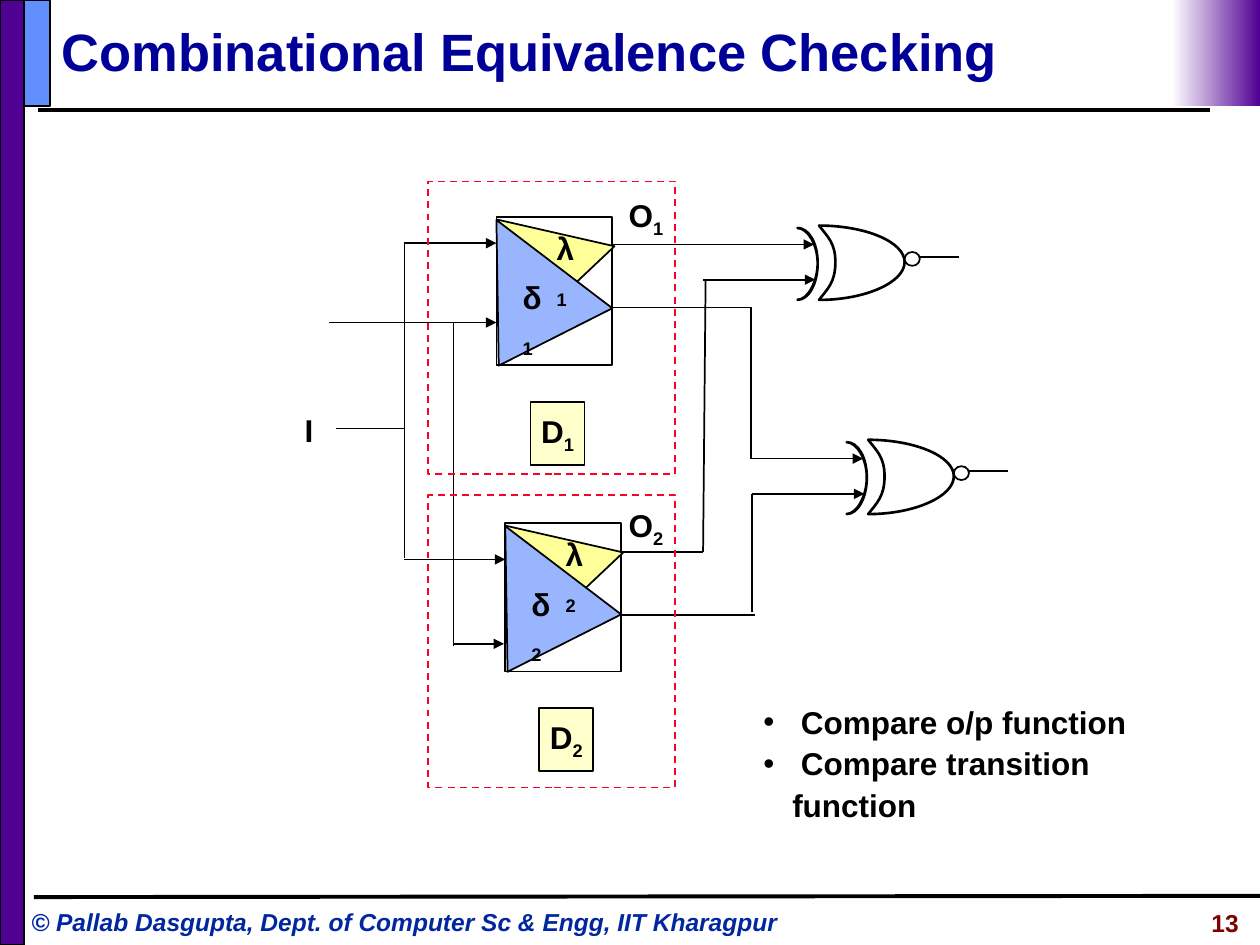
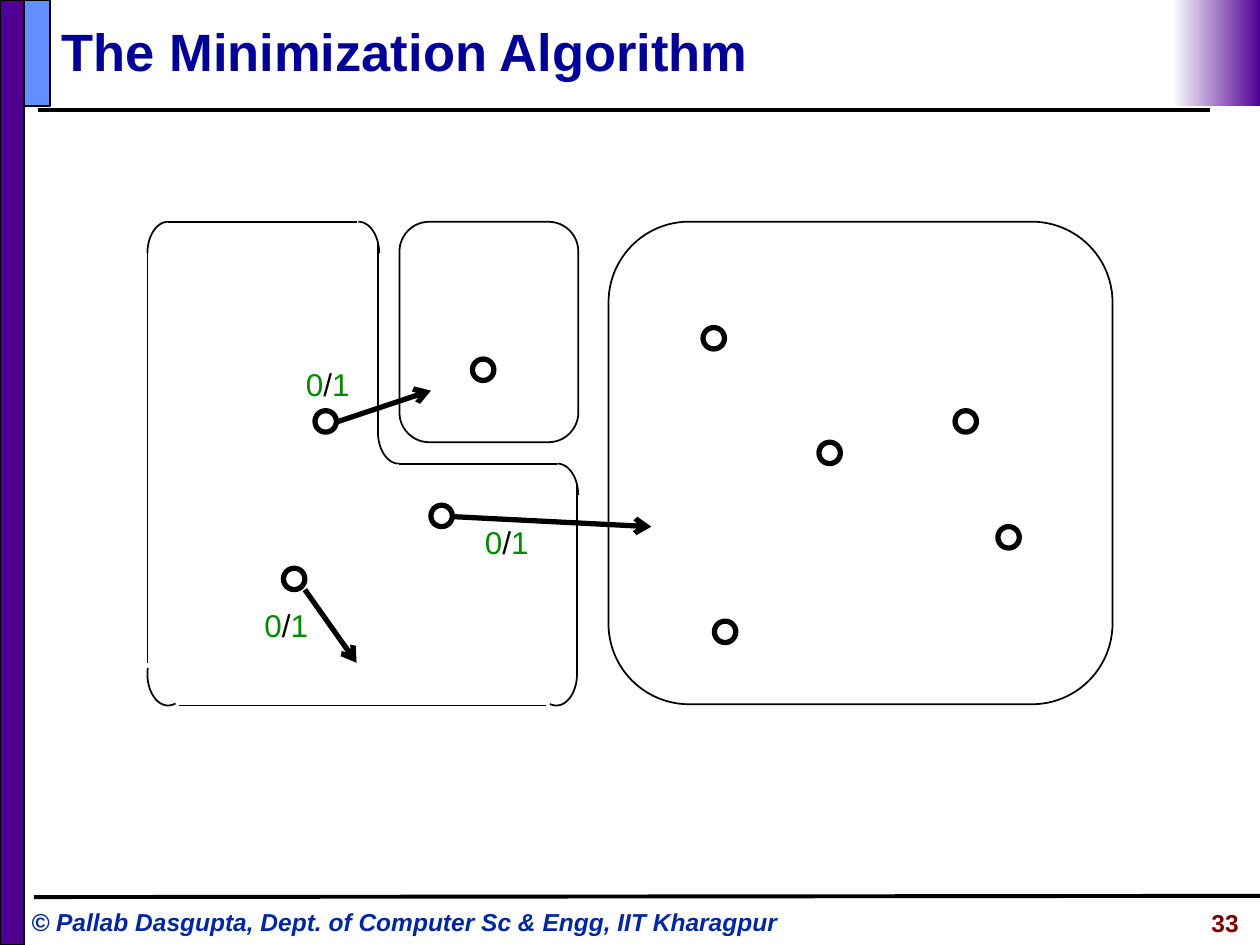
from dataclasses import dataclass
from typing import NamedTuple

from lxml import etree
from pptx import Presentation
from pptx.dml.color import RGBColor
from pptx.enum.dml import MSO_LINE
from pptx.enum.shapes import MSO_CONNECTOR, MSO_SHAPE
from pptx.enum.text import MSO_ANCHOR, MSO_AUTO_SIZE, PP_ALIGN
from pptx.oxml.ns import qn
from pptx.util import Inches, Pt

RECT, OVAL, ARC = MSO_SHAPE.RECTANGLE, MSO_SHAPE.OVAL, MSO_SHAPE.ARC
TRIANGLE, ROUNDED = MSO_SHAPE.ISOSCELES_TRIANGLE, MSO_SHAPE.ROUNDED_RECTANGLE
STRAIGHT, DASH = MSO_CONNECTOR.STRAIGHT, MSO_LINE.DASH
LEFT, CENTER, RIGHT = PP_ALIGN.LEFT, PP_ALIGN.CENTER, PP_ALIGN.RIGHT
MIDDLE, NO_FIT = MSO_ANCHOR.MIDDLE, MSO_AUTO_SIZE.NONE

Point = tuple[float, float]


class Style(NamedTuple):
    size: float
    color: str
    bold: bool = True
    italic: bool = False


@dataclass(frozen=True)
class Theme:
    font: str = "Arial"
    black: str = "000000"
    white: str = "FFFFFF"
    purple: str = "500093"
    blue: str = "618FFD"
    delta_blue: str = "98B5FE"
    lambda_yellow: str = "FFFF99"
    tag_yellow: str = "FFFFCC"
    red: str = "FC0128"
    green: str = "008A00"
    thin: float = 1
    gate: float = 1.5
    rule: float = 2.25
    thick: float = 3
    title: Style = Style(30, "000099")
    footer: Style = Style(14, "00279F", italic=True)
    number: Style = Style(14, "800000")
    label: Style = Style(18, "000000")
    edge_label: Style = Style(18, "000000", bold=False)


THEME = Theme()


class Area(NamedTuple):
    left: float
    top: float
    width: float
    height: float

    def moved(self, dx: float, dy: float) -> "Area":
        return Area(self.left + dx, self.top + dy, self.width, self.height)


class Span(NamedTuple):
    text: str
    color: str = ""
    subscript: bool = False


class Wire(NamedTuple):
    start: Point
    end: Point
    head: str = ""


class Corner(NamedTuple):
    left: float
    top: float
    start: float
    end: float


def inches(values) -> list:
    return [Inches(value) for value in values]


def rgb(color: str) -> RGBColor:
    return RGBColor.from_string(color)


def write(paragraph, spans: list[Span], style: Style, align=LEFT) -> None:
    paragraph.alignment = align
    runs = [paragraph.add_run() for _ in spans]
    for font in (paragraph.font, *(run.font for run in runs)):
        font.name, font.size = THEME.font, Pt(style.size)
        font.bold, font.italic = style.bold, style.italic
        font.color.rgb = rgb(style.color)
    for run, span in zip(runs, spans):
        run.text = span.text
        if span.color:
            run.font.color.rgb = rgb(span.color)
        if span.subscript:
            run._r.get_or_add_rPr().set("baseline", "-25000")


def indexed(symbol: str, index: int) -> list[Span]:
    return [Span(symbol), Span(str(index), subscript=True)]


def add_text(page, area: Area, spans: list[Span], style: Style, align=LEFT, wrap: bool = True):
    box = page.shapes.add_textbox(*inches(area))
    box.text_frame.word_wrap = wrap
    write(box.text_frame.paragraphs[0], spans, style, align)
    return box


def add_bullet(paragraph, indent: float) -> None:
    properties = paragraph._p.get_or_add_pPr()
    properties.set("marL", str(Inches(indent)))
    properties.set("indent", str(-Inches(indent)))
    color = etree.Element(qn("a:buClr"))
    etree.SubElement(color, qn("a:srgbClr"), val=THEME.black)
    font = etree.Element(qn("a:buFont"), typeface=THEME.font)
    mark = etree.Element(qn("a:buChar"), char="•")
    for part in (color, font, mark):
        properties.find(qn("a:defRPr")).addprevious(part)


def finish(shape, fill: str = "", line: str = THEME.black, width: float = THEME.thin):
    shape.shadow.inherit = False
    if fill:
        shape.fill.solid()
        shape.fill.fore_color.rgb = rgb(fill)
    else:
        shape.fill.background()
    shape.line.color.rgb = rgb(line)
    shape.line.width = Pt(width)
    return shape


def add_shape(page, kind, area: Area, fill: str = "", line: str = THEME.black,
              width: float = THEME.thin, rotation: float = 0):
    shape = finish(page.shapes.add_shape(kind, *inches(area)), fill, line, width)
    if rotation:
        shape.rotation = rotation
    return shape


def add_wire(page, wire: Wire, width: float = THEME.thin) -> None:
    connector = page.shapes.add_connector(STRAIGHT, *inches(wire.start + wire.end))
    connector.line.color.rgb = rgb(THEME.black)
    connector.line.width = Pt(width)
    if wire.head:
        etree.SubElement(connector.line._get_or_add_ln(), qn("a:tailEnd"), type=wire.head)
    etree.SubElement(connector._element.spPr, qn("a:effectLst"))


def add_curve(page, points: list[Point], dx: float, dy: float, fill: str = "") -> None:
    start, *controls = [inches((x + dx, y + dy)) for x, y in points]
    builder = page.shapes.build_freeform(*start)
    builder.add_line_segments(controls, close=True)
    shape = finish(builder.convert_to_shape(), fill, width=THEME.gate)
    segments = list(shape._element.iter(qn("a:lnTo")))
    for first in range(0, len(segments), 3):
        curve = etree.Element(qn("a:cubicBezTo"))
        segments[first].addprevious(curve)
        for segment in segments[first:first + 3]:
            curve.append(segment[0])
            segment.getparent().remove(segment)


def start_page(deck, title: str, number: int):
    page = deck.slides.add_slide(deck.slide_layouts[5])
    add_wire(page, Wire((0.3, 0.87), (9.6, 0.87)), THEME.rule)
    add_wire(page, Wire((0.27, 7.12), (10, 7.11)), THEME.rule)
    add_shape(page, RECT, Area(0, 0, 0.19, 7.5), THEME.purple)
    add_shape(page, RECT, Area(0.19, 0, 0.21, 0.84), THEME.blue)
    fade = add_shape(page, RECT, Area(9.3, 0, 0.7, 0.84))
    fade.line.fill.background()
    fade.fill.gradient()
    fade.fill.gradient_angle = 180
    for stop, color in zip(fade.fill.gradient_stops, (THEME.purple, THEME.white)):
        stop.color.rgb = rgb(color)
    heading = page.shapes.title
    heading.left, heading.top, heading.width, heading.height = inches((0.39, 0.1, 9.1, 0.61))
    frame = heading.text_frame
    frame.auto_size, frame.vertical_anchor, frame.word_wrap = NO_FIT, MIDDLE, True
    write(frame.paragraphs[0], [Span(title)], THEME.title)
    add_text(page, Area(0.15, 7.15, 6.37, 0.34),
             [Span("© Pallab Dasgupta, Dept. of Computer Sc & Engg, IIT Kharagpur")], THEME.footer)
    add_text(page, Area(8.18, 7.16, 1.75, 0.35), [Span(str(number))], THEME.number, RIGHT)
    return page


def add_machine(page, index: int, dx: float, dy: float) -> None:
    add_shape(page, RECT, Area(3.94, 1.72, 0.92, 1.18).moved(dx, dy), THEME.white)
    add_shape(page, TRIANGLE, Area(3.86, 1.84, 0.95, 0.71).moved(dx, dy),
              THEME.lambda_yellow, rotation=192.8)
    add_shape(page, TRIANGLE, Area(3.67, 1.69, 1.01, 1.04).moved(dx, dy),
              THEME.delta_blue, rotation=333.2)
    for symbol, left, top in (("δ", 4.05, 2.16), ("λ", 4.32, 1.77)):
        add_text(page, Area(left, top, 0.4, 0.44).moved(dx, dy),
                 indexed(symbol, index), THEME.label)
    tag = add_shape(page, RECT, Area(4.21, 3.19, 0.43, 0.5).moved(dx, dy), THEME.tag_yellow)
    tag.text_frame.word_wrap, tag.text_frame.vertical_anchor = False, MIDDLE
    write(tag.text_frame.paragraphs[0], indexed("D", index), THEME.label, CENTER)


def add_xnor(page, dx: float, dy: float) -> None:
    add_curve(page, [(6.5, 1.79), (6.57, 1.88), (6.63, 1.93), (6.63, 2.08),
                     (6.63, 2.24), (6.57, 2.29), (6.5, 2.38),
                     (6.87, 2.38), (7.18, 2.24), (7.18, 2.08),
                     (7.18, 1.92), (6.87, 1.79), (6.5, 1.79)], dx, dy)
    add_curve(page, [(6.33, 1.81), (6.41, 1.81), (6.49, 1.94), (6.49, 2.09),
                     (6.49, 2.24), (6.41, 2.38), (6.33, 2.38),
                     (6.42, 2.38), (6.49, 2.25), (6.49, 2.09),
                     (6.49, 1.93), (6.42, 1.81), (6.33, 1.81)], dx, dy, THEME.blue)
    add_shape(page, OVAL, Area(7.18, 2, 0.12, 0.11).moved(dx, dy), THEME.white)
    add_wire(page, Wire((7.29 + dx, 2.04 + dy), (7.61 + dx, 2.04 + dy)))


def build_equivalence(deck) -> None:
    page = start_page(deck, "Combinational Equivalence Checking", 13)
    add_machine(page, 1, 0, 0)
    add_machine(page, 2, 0.07, 2.43)
    add_xnor(page, 0, 0)
    add_xnor(page, 0.39, 1.7)
    wires = [
        Wire((2.67, 3.4), (3.21, 3.4)),
        Wire((3.21, 1.93), (3.21, 4.43)),
        Wire((3.21, 1.93), (3.94, 1.93), "triangle"),
        Wire((3.21, 4.44), (4.01, 4.44), "triangle"),
        Wire((2.61, 2.56), (3.94, 2.56), "triangle"),
        Wire((3.6, 2.56), (3.6, 5.13)),
        Wire((3.6, 5.11), (4, 5.11), "triangle"),
        Wire((4.86, 1.94), (5.57, 1.94)),
        Wire((5.57, 1.94), (6.46, 1.94), "triangle"),
        Wire((4.92, 4.38), (5.58, 4.38)),
        Wire((5.6, 2.22), (5.58, 4.38)),
        Wire((5.58, 2.22), (6.47, 2.22), "triangle"),
        Wire((4.86, 2.44), (5.96, 2.44)),
        Wire((5.96, 2.44), (5.96, 3.64)),
        Wire((5.96, 3.64), (6.85, 3.64), "triangle"),
        Wire((4.93, 4.88), (5.99, 4.88)),
        Wire((5.97, 3.92), (5.97, 4.86)),
        Wire((5.97, 3.92), (6.86, 3.92), "triangle"),
    ]
    for wire in wires:
        add_wire(page, wire)
    add_text(page, Area(2.32, 3.21, 0.27, 0.4), [Span("I")], THEME.label, wrap=False)
    for index, output_top, frame_top in ((1, 1.51, 1.44), (2, 3.97, 3.93)):
        add_text(page, Area(4.89, output_top, 0.49, 0.44), indexed("O", index), THEME.label)
        design = add_shape(page, RECT, Area(3.4, frame_top, 1.96, 2.32), line=THEME.red)
        design.line.dash_style = DASH
    points = (" Compare o/p function", " Compare transition function")
    box = add_text(page, Area(5.96, 5.5, 3.7, 0.76), [Span(points[0])], THEME.label)
    write(box.text_frame.add_paragraph(), [Span(points[1])], THEME.label)
    for paragraph in box.text_frame.paragraphs:
        paragraph.line_spacing = 1.1
        add_bullet(paragraph, 0.23)


def build_minimization(deck) -> None:
    page = start_page(deck, "The Minimization Algorithm", 33)
    states = [(2.5, 3.26), (7.58, 3.26), (3.42, 4.01), (2.25, 4.51), (3.75, 2.85),
              (5.67, 4.93), (5.58, 2.6), (6.5, 3.51), (7.92, 4.18)]
    for left, top in states:
        add_shape(page, OVAL, Area(left, top, 0.17, 0.17), width=THEME.thick)
    for block in (Area(4.83, 1.76, 4, 3.83), Area(3.17, 1.76, 1.42, 1.75)):
        add_shape(page, ROUNDED, block).adjustments[0] = 0.167
    sides = [
        Wire((1.17, 2.01), (1.17, 5.26)),
        Wire((1.33, 1.76), (2.83, 1.76)),
        Wire((1.42, 5.6), (4.33, 5.6)),
        Wire((4.58, 5.35), (4.58, 3.85)),
        Wire((3, 1.93), (3, 3.43)),
        Wire((3.17, 3.68), (4.42, 3.68)),
    ]
    for side in sides:
        add_wire(page, side)
    corners = [
        Corner(1.17, 1.76, 180, 270),
        Corner(2.68, 1.76, 270, 0),
        Corner(3, 3.18, 90, 180),
        Corner(4.26, 3.68, 270, 0),
        Corner(4.25, 5.1, 0, 102),
        Corner(1.17, 5.1, 76, 197),
    ]
    for corner in corners:
        arc = add_shape(page, ARC, Area(corner.left, corner.top, 0.33, 0.5))
        for position, degrees in enumerate((corner.start, corner.end)):
            arc.adjustments[position] = degrees * 0.6
    transitions = [
        (Wire((2.42, 4.68), (2.83, 5.26), "arrow"), (2, 4.76)),
        (Wire((2.67, 3.35), (3.42, 3.1), "arrow"), (2.33, 2.85)),
        (Wire((3.58, 4.1), (5.17, 4.18), "arrow"), (3.75, 4.1)),
    ]
    edge_text = [Span("0", THEME.green), Span("/"), Span("1", THEME.green)]
    for wire, (left, top) in transitions:
        add_wire(page, wire, THEME.thick)
        add_text(page, Area(left, top, 0.67, 0.4), edge_text, THEME.edge_label)


def main() -> None:
    deck = Presentation()
    deck.slide_width, deck.slide_height = Inches(10), Inches(7.5)
    build_equivalence(deck)
    build_minimization(deck)
    deck.save("out.pptx")


if __name__ == "__main__":
    main()
